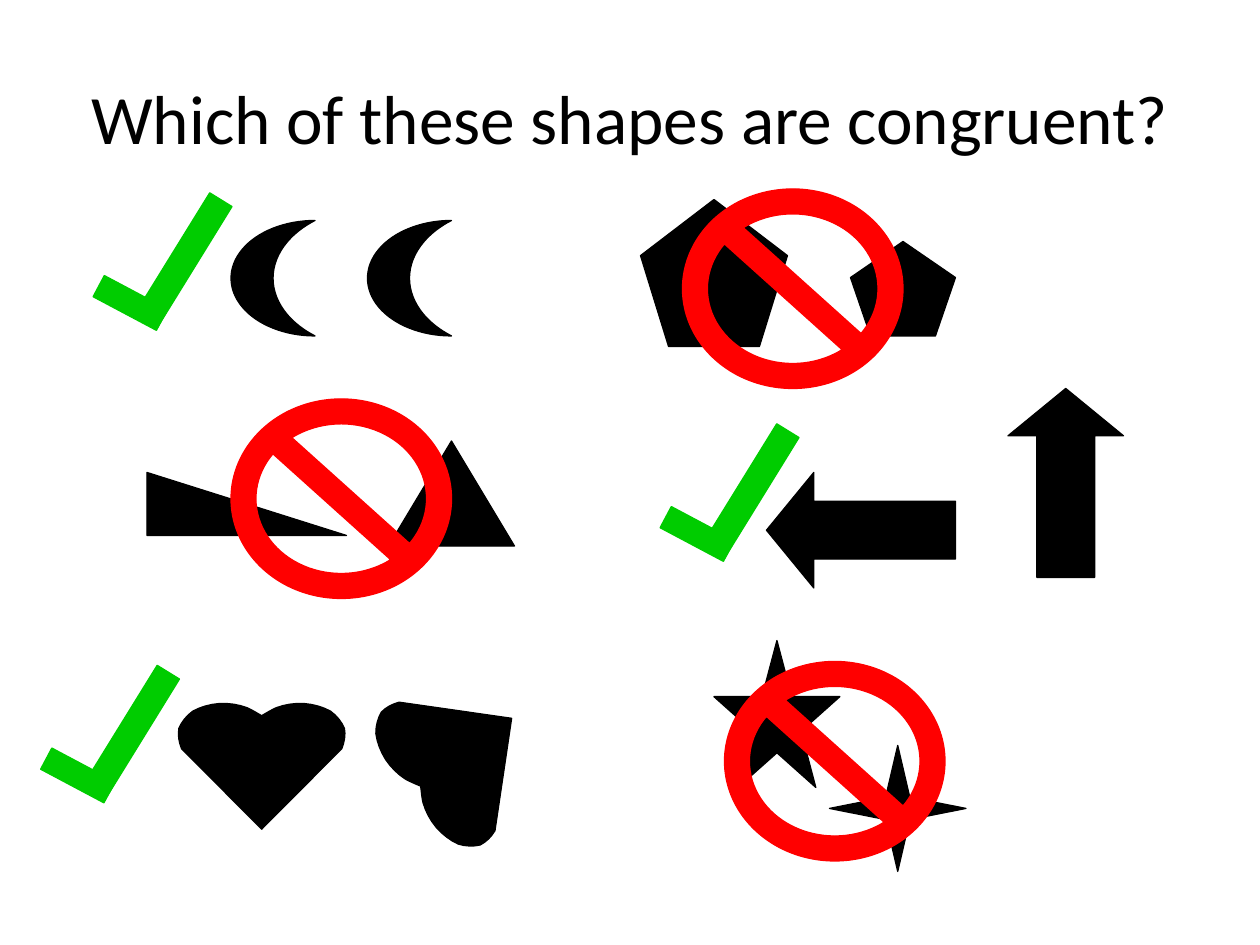
from pptx import Presentation
from pptx.dml.color import RGBColor
from pptx.enum.shapes import MSO_SHAPE
from pptx.enum.text import MSO_ANCHOR, PP_ALIGN
from pptx.util import Pt

BLACK = RGBColor(0x00, 0x00, 0x00)
RED = RGBColor(0xFF, 0x00, 0x00)
GREEN = RGBColor(0x00, 0xCC, 0x00)

# preset, left, top, width, height, rotation, adjustments
FIGURES = [
    (MSO_SHAPE.MOON, 210, 126, 48, 66, 0, [0.5]),
    (MSO_SHAPE.MOON, 132, 126, 48, 66, 0, [0.5]),
    (MSO_SHAPE.RIGHT_TRIANGLE, 84, 270, 114, 36, 0, []),
    (MSO_SHAPE.ISOSCELES_TRIANGLE, 222, 252, 72, 60, 0, [0.5]),
    (MSO_SHAPE.LEFT_ARROW, 438, 270, 108, 66, 0, [0.5, 0.41]),
    (MSO_SHAPE.LEFT_ARROW, 555, 243, 108, 66, 90, [0.5, 0.41]),
    (MSO_SHAPE.STAR_4_POINT, 474, 426, 78, 72, 0, [0.125]),
    (MSO_SHAPE.STAR_5_POINT, 408, 366, 72, 84, 0, []),
    (MSO_SHAPE.REGULAR_PENTAGON, 366, 114, 84, 84, 0, []),
    (MSO_SHAPE.REGULAR_PENTAGON, 486, 138, 60, 54, 0, []),
]
HEARTS = [(102, 402, 0), (216, 396, 233.3)]
BANS = [(390, 108), (414, 378), (132, 228)]
TICKS = [(24, 378), (54, 108), (378, 240)]

# Left lobe of the heart, from notch to side: cubic curves end to end
NOTCH = (48, 7.2)
LOBE = [
    [(46, 6), (42, 3.6), (39.6, 2.6)],
    [(34.6, 0.7), (29.5, 0), (23.8, 0.2)],
    [(18, 0.7), (13, 2.2), (8.6, 4.6)],
    [(5, 7.2), (2.2, 10.8), (0.7, 14.4)],
    [(0, 18), (0.7, 22.3), (2.2, 26)],
]
TIP = (48, 72)
STEPS = 4


def apply(item, values):
    for name, value in values.items():
        setattr(item, name, value)


def paint(shape, color):
    shape.shadow.inherit = False
    shape.fill.solid()
    shape.fill.fore_color.rgb = color
    shape.line.color.rgb = color
    shape.line.width = Pt(0.75)


def add_figure(shapes, kind, box, color, turn=0, adjust=()):
    shape = shapes.add_shape(kind, *map(Pt, box))
    shape.rotation = turn
    for i, value in enumerate(adjust):
        shape.adjustments[i] = value
    paint(shape, color)


def trace(start, curves):
    """Return points along the cubic curves that follow start."""
    points = [start]
    for a, b, end in curves:
        for step in range(1, STEPS + 1):
            t = step / STEPS
            u = 1 - t
            points.append(tuple(
                u**3 * p + 3 * u * u * t * q + 3 * u * t * t * r + t**3 * s
                for p, q, r, s in zip(start, a, b, end)))
        start = end
    return points


def add_heart(shapes, left, top, turn):
    lobe = trace(NOTCH, LOBE)
    mirror = [(2 * TIP[0] - x, y) for x, y in reversed(lobe[1:])]
    first, *rest = [(Pt(x), Pt(y)) for x, y in lobe + [TIP] + mirror]
    builder = shapes.build_freeform(*first)
    builder.add_line_segments(rest, close=True)
    shape = builder.convert_to_shape()
    apply(shape, {"left": Pt(left), "top": Pt(top), "rotation": turn})
    paint(shape, BLACK)


def add_tick(shapes, left, top):
    group = shapes.add_group_shape().shapes
    rect = MSO_SHAPE.RECTANGLE
    add_figure(group, rect, (left + 43.2, top, 15, 82), GREEN, 31.7)
    add_figure(group, rect, (left, top + 58.3, 41, 13.7), GREEN, 28)


def set_title(slide, text):
    title = slide.shapes.title
    apply(title, {"left": Pt(36), "top": Pt(21.6),
                  "width": Pt(648), "height": Pt(90)})
    frame = title.text_frame
    frame.text = text
    apply(frame, {"vertical_anchor": MSO_ANCHOR.MIDDLE, "word_wrap": True})
    line = frame.paragraphs[0]
    line.alignment = PP_ALIGN.CENTER
    font = line.runs[0].font
    apply(font, {"name": "Calibri", "size": Pt(39.6)})
    font.color.rgb = BLACK


def main():
    deck = Presentation()
    apply(deck, {"slide_width": Pt(720), "slide_height": Pt(540)})
    slide = deck.slides.add_slide(deck.slide_layouts[5])
    shapes = slide.shapes
    set_title(slide, "Which of these shapes are congruent?")
    for kind, *box, turn, adjust in FIGURES:
        add_figure(shapes, kind, box, BLACK, turn, adjust)
    for spot in HEARTS:
        add_heart(shapes, *spot)
    for spot in BANS:
        add_figure(shapes, MSO_SHAPE.NO_SYMBOL, (*spot, 126, 114), RED,
                   adjust=[0.125])
    for spot in TICKS:
        add_tick(shapes, *spot)
    deck.save("out.pptx")


if __name__ == "__main__":
    main()
